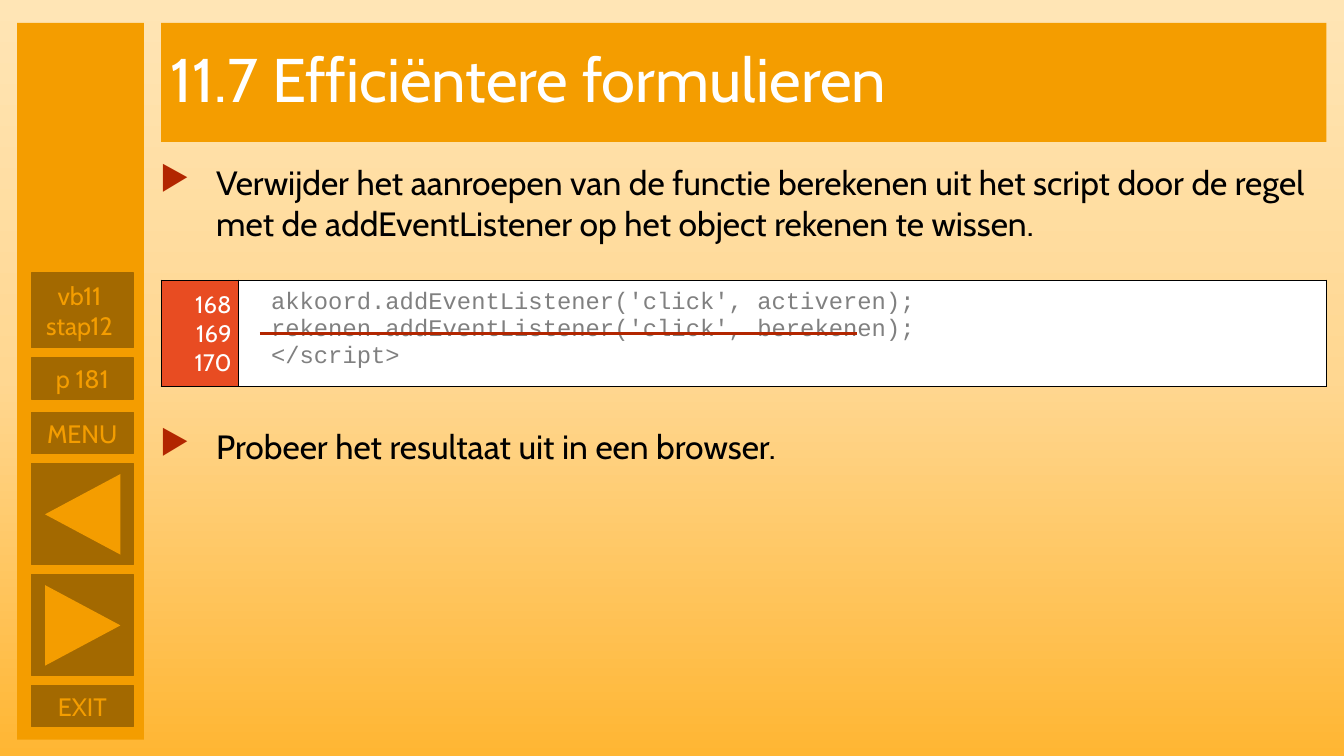
import copy

import pptx
import pptx.dml.color
import pptx.enum.shapes
import pptx.enum.text
import pptx.oxml
import pptx.oxml.ns
import pptx.util

Cm = pptx.util.Cm
Pt = pptx.util.Pt
SHAPE = pptx.enum.shapes.MSO_SHAPE
ALIGN = pptx.enum.text.PP_ALIGN
ANCHOR = pptx.enum.text.MSO_ANCHOR

ORANGE = "F49D00"
BROWN = "A36900"
RED = "B22600"
WHITE = "FFFFFF"
BLACK = "000000"

BUTTON_LEFT = 0.79
BUTTON_WIDTH = 2.57
MAIN_LEFT = 4.06
MAIN_WIDTH = 29.37

BUTTON_TEXT = {"name": "Cabin", "size": Pt(18), "color": ORANGE}
TITLE_TEXT = {"name": "Cabin", "size": Pt(44), "color": WHITE}
BODY_TEXT = {"name": "Cabin", "size": Pt(24), "color": BLACK}
NUMBER_TEXT = {"name": "Cabin", "size": Pt(17), "color": WHITE}
CODE_TEXT = {"name": "Courier New", "size": Pt(17), "color": "808080"}


def rgb(value):
    return pptx.dml.color.RGBColor.from_string(value)


def xml(text):
    namespace = pptx.oxml.ns.nsdecls("a")
    return pptx.oxml.parse_xml(text.replace(">", f" {namespace}>", 1))


def set_background(slide, colors):
    fill = slide.background.fill
    fill.gradient()
    fill.gradient_angle = 270
    stops = slide.element.find(".//" + pptx.oxml.ns.qn("a:gsLst"))
    stops.append(copy.deepcopy(stops[-1]))
    for index, (stop, color) in enumerate(zip(fill.gradient_stops, colors)):
        stop.position = index / (len(colors) - 1)
        stop.color.rgb = rgb(color)


def write(paragraph, text, text_format, align=ALIGN.LEFT):
    paragraph.text = text
    paragraph.alignment = align
    for run in paragraph.runs:
        for name, value in text_format.items():
            if name == "color":
                run.font.color.rgb = rgb(value)
            else:
                setattr(run.font, name, value)


def add_block(slide, kind, box, fill, line=None):
    shape = slide.shapes.add_shape(kind, *map(Cm, box))
    shape.shadow.inherit = False
    shape.fill.solid()
    shape.fill.fore_color.rgb = rgb(fill)
    if line:
        shape.line.color.rgb = rgb(line)
        shape.line.width = Pt(1)
    else:
        shape.line.fill.background()
    return shape


def add_button(slide, top, height, label=None):
    box = (BUTTON_LEFT, top, BUTTON_WIDTH, height)
    shape = add_block(slide, SHAPE.RECTANGLE, box, BROWN, BROWN)
    if label:
        shape.text_frame.vertical_anchor = ANCHOR.MIDDLE
        write(shape.text_frame.paragraphs[0], label, BUTTON_TEXT, ALIGN.CENTER)


def add_arrow_button(slide, top, rotation):
    add_button(slide, top, 2.54)
    box = (1.07, top + 0.33, 2.03, 1.9)
    add_block(slide, SHAPE.ISOSCELES_TRIANGLE, box, ORANGE).rotation = rotation


def add_title(slide, text):
    box = (MAIN_LEFT, 0.58, MAIN_WIDTH, 3)
    shape = add_block(slide, SHAPE.RECTANGLE, box, ORANGE)
    shape.text_frame.vertical_anchor = ANCHOR.MIDDLE
    paragraph = shape.text_frame.paragraphs[0]
    write(paragraph, text, TITLE_TEXT)
    paragraph.line_spacing = 0.9


def add_bullet(slide, top, height, text):
    box = slide.shapes.add_textbox(Cm(3.78), Cm(top), Cm(29.67), Cm(height))
    box.text_frame.word_wrap = True
    paragraph = box.text_frame.paragraphs[0]
    properties = paragraph._p.get_or_add_pPr()
    properties.set("marL", str(Cm(1.42)))
    properties.set("indent", str(-Cm(1.42)))
    properties.append(xml(f'<a:buClr><a:srgbClr val="{RED}"/></a:buClr>'))
    properties.append(xml('<a:buChar char="▶"></a:buChar>'))
    write(paragraph, text, BODY_TEXT)


def fill_cell(cell, lines, text_format, fill, align, margins):
    for name, value in margins.items():
        setattr(cell, "margin_" + name, Cm(value))
    cell.fill.solid()
    cell.fill.fore_color.rgb = rgb(fill)
    properties = cell._tc.get_or_add_tcPr()
    for index, side in enumerate("LRTB"):
        properties.insert(index, xml(
            f'<a:ln{side} w="{Pt(1)}"><a:solidFill><a:srgbClr val="{BLACK}"/>'
            f"</a:solidFill></a:ln{side}>"))
    frame = cell.text_frame
    for index, line in enumerate(lines):
        paragraph = frame.add_paragraph() if index else frame.paragraphs[0]
        write(paragraph, line, text_format, align)


def add_code_table(slide, top, first_number, lines):
    widths = (1.96, 27.41)
    frame = slide.shapes.add_table(
        1, 2, Cm(MAIN_LEFT), Cm(top), Cm(MAIN_WIDTH), Cm(2.67))
    table = frame.table
    table.first_row = False
    table.horz_banding = False
    for column, width in zip(table.columns, widths):
        column.width = Cm(width)
    numbers = [str(first_number + index) for index in range(len(lines))]
    fill_cell(table.cell(0, 0), numbers, NUMBER_TEXT, "E84C22", ALIGN.RIGHT,
              {"left": 0.18, "right": 0.18, "top": 0.25, "bottom": 0})
    fill_cell(table.cell(0, 1), lines, CODE_TEXT, WHITE, ALIGN.LEFT,
              {"left": 0.81, "right": 0.25, "top": 0.24, "bottom": 0})


def add_strike(slide, left, right, y):
    connector = slide.shapes.add_connector(
        pptx.enum.shapes.MSO_CONNECTOR.STRAIGHT, Cm(left), Cm(y), Cm(right), Cm(y))
    connector.line.color.rgb = rgb(RED)
    connector.line.width = Pt(2.25)
    connector._element.spPr.append(xml("<a:effectLst></a:effectLst>"))


def main():
    presentation = pptx.Presentation()
    presentation.slide_width = Cm(33.87)
    presentation.slide_height = Cm(19.05)
    slide = presentation.slides.add_slide(presentation.slide_layouts[6])
    set_background(slide, ("FFE5B5", "FFD791", "FFB633"))

    add_block(slide, SHAPE.RECTANGLE, (0.43, 0.58, 3.2, 18.06), ORANGE)
    add_button(slide, 6.88, 1.88, "vb11 \vstap12 ")
    for top, label in ((9.02, "p 181"), (10.39, "MENU"), (17.27, "EXIT")):
        add_button(slide, top, 1.04, label)
    add_arrow_button(slide, 11.68, 270)
    add_arrow_button(slide, 14.48, 90)

    add_title(slide, "11.7 Efficiëntere formulieren")
    add_bullet(slide, 3.96, 2.31,
               "Verwijder het aanroepen van de functie berekenen uit het script "
               "door de regel met de addEventListener op het object rekenen te wissen.")
    add_code_table(slide, 7.06, 168, (
        "akkoord.addEventListener('click', activeren);",
        "rekenen.addEventListener('click', berekenen);",
        "</script>"))
    add_strike(slide, 6.55, 21.59, 8.41)
    add_bullet(slide, 10.62, 1.27, "Probeer het resultaat uit in een browser.")
    presentation.save("out.pptx")


if __name__ == "__main__":
    main()
